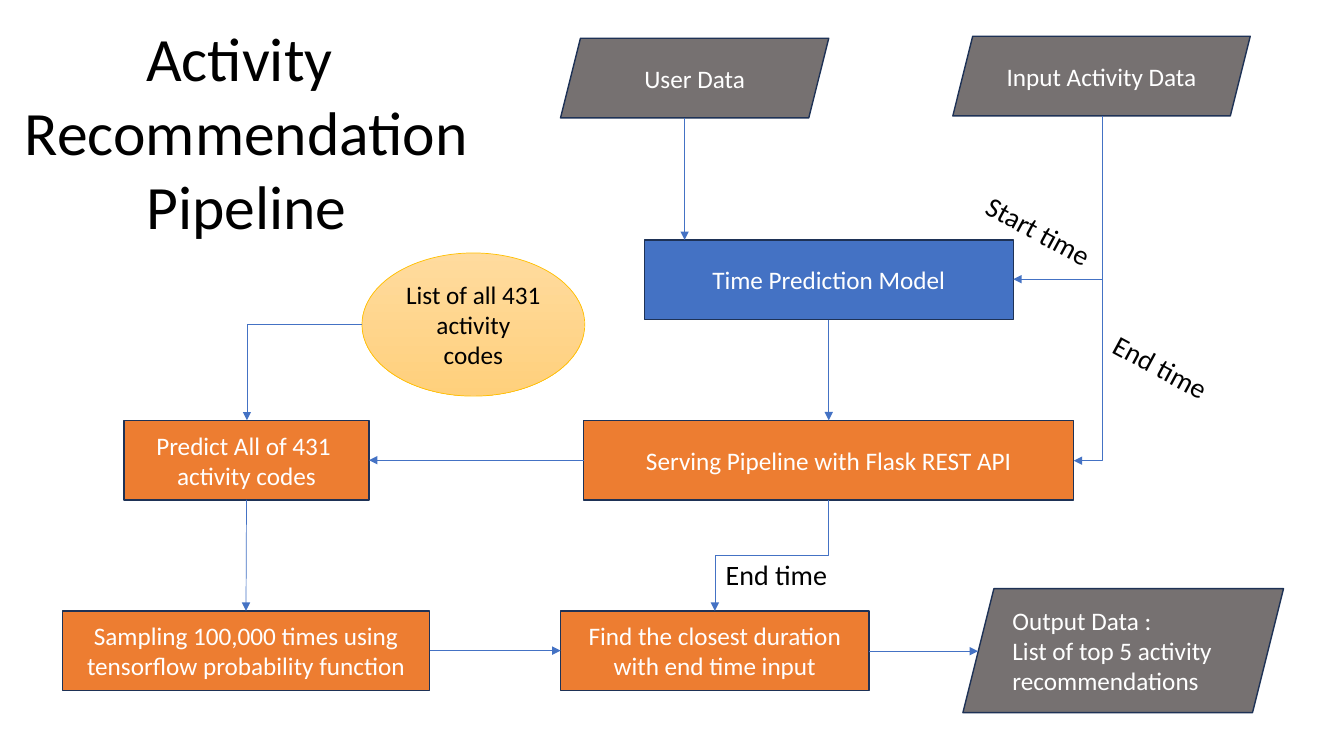
"""Build the activity recommendation pipeline slide."""
from lxml.etree import SubElement
from pptx import Presentation
from pptx.dml.color import RGBColor
from pptx.enum.shapes import MSO_CONNECTOR as Link, MSO_SHAPE as Shape
from pptx.enum.text import MSO_ANCHOR as Anchor, MSO_AUTO_SIZE as AutoSize, PP_ALIGN as Align
from pptx.oxml.ns import qn
from pptx.util import Inches, Pt

GRAY, BLUE, ORANGE = "767171", "4472C4", "ED7D31"
NAVY, GOLD, WHITE, BLACK = "1E3256", "FFC000", "FFFFFF", "000000"
PEACH = ("FFDB9E", "FFD07C")
STEP_HEIGHT = 0.79
TOP, LEFT, BOTTOM, RIGHT = range(4)
FONT = {"name": "Calibri", "bold": False}
LABEL_FRAME = {"word_wrap": False, "auto_size": AutoSize.SHAPE_TO_FIT_TEXT,
               "vertical_anchor": Anchor.TOP}
STEP_FRAME = {"word_wrap": True, "auto_size": AutoSize.NONE,
              "vertical_anchor": Anchor.MIDDLE}


def rgb(value):
    """Turn a hex string into a colour."""
    return RGBColor.from_string(value)


def assign(target, values):
    """Set each named value on the target."""
    for name, value in values.items():
        setattr(target, name, value)


def write(shape, text, size, color, frame_format, align=Align.CENTER):
    """Fill a shape with one formatted paragraph per line."""
    frame = shape.text_frame
    frame.text = text
    assign(frame, frame_format)
    for para in frame.paragraphs:
        para.alignment = align
        for span in para.runs:
            assign(span.font, FONT | {"size": Pt(size)})
            span.font.color.rgb = rgb(color)


def add_title(page, text, left, top, width, height):
    """Place the slide title in its placeholder."""
    title = page.shapes.title
    assign(title, {"left": Inches(left), "top": Inches(top),
                   "width": Inches(width), "height": Inches(height)})
    write(title, text, 44, BLACK, LABEL_FRAME)


def add_node(page, kind, text, left, top, width, height=STEP_HEIGHT,
             fill=ORANGE, color=WHITE, edge=NAVY, weight=1, align=Align.CENTER):
    """Draw one flowchart node with a plain or two-colour fill."""
    node = page.shapes.add_shape(kind, *map(Inches, (left, top, width, height)))
    node.shadow.inherit = False
    if isinstance(fill, str):
        node.fill.solid()
        node.fill.fore_color.rgb = rgb(fill)
    else:
        node.fill.gradient()
        node.fill.gradient_angle = 270
        for stop, shade in zip(node.fill.gradient_stops, fill):
            stop.color.rgb = rgb(shade)
    node.line.color.rgb = rgb(edge)
    node.line.width = Pt(weight)
    write(node, text, 18, color, STEP_FRAME, align)
    return node


def add_label(page, text, left, top, width, angle=0):
    """Place a label beside an arrow."""
    box = page.shapes.add_textbox(*map(Inches, (left, top, width, 0.44)))
    box.rotation = angle
    write(box, text, 20, BLACK, LABEL_FRAME)


def add_arrow(page, start, end, kind=Link.STRAIGHT):
    """Draw a thin arrow between two points."""
    arrow = page.shapes.add_connector(kind, *map(Inches, (*start, *end)))
    arrow.line.color.rgb = rgb(BLUE)
    arrow.line.width = Pt(0.5)
    SubElement(arrow.line._get_or_add_ln(), qn("a:tailEnd"), type="triangle")
    SubElement(arrow._element.spPr, qn("a:effectLst"))
    return arrow


def join(page, source, source_site, target, target_site):
    """Glue a straight arrow to the sides of two nodes."""
    arrow = add_arrow(page, (0, 0), (1, 1))
    arrow.begin_connect(source, source_site)
    arrow.end_connect(target, target_site)


def make_corner(arrow):
    """Give an elbow arrow a single corner."""
    geometry = arrow._element.spPr.find(qn("a:prstGeom"))
    geometry.set("prst", "bentConnector2")


def add_drop(page, start, end):
    """Draw an elbow arrow that first runs down and then left."""
    middle_x, middle_y = ((a + b) / 2 for a, b in zip(start, end))
    half_width, half_height = (start[0] - end[0]) / 2, (end[1] - start[1]) / 2
    arrow = add_arrow(page, (middle_x - half_height, middle_y - half_width),
                      (middle_x + half_height, middle_y + half_width), Link.ELBOW)
    arrow._element.spPr.find(qn("a:xfrm")).set("rot", "5400000")
    return arrow


def main():
    """Build and save the slide."""
    deck = Presentation()
    assign(deck, {"slide_width": Inches(13.33), "slide_height": Inches(7.5)})
    page = deck.slides.add_slide(deck.slide_layouts[5])
    add_title(page, "Activity \nRecommendation\nPipeline", 0.12, 0.15, 4.65, 2.32)

    slanted, box = Shape.PARALLELOGRAM, Shape.RECTANGLE
    add_node(page, slanted, "User Data", 5.56, 0.38, 2.66, fill=GRAY)
    add_node(page, slanted, "Input Activity Data", 9.45, 0.36, 2.95, fill=GRAY)
    add_node(page, slanted,
             "Output Data :\nList of top 5 activity \nrecommendations",
             9.55, 5.84, 3.18, 1.23, fill=GRAY, align=Align.JUSTIFY)
    add_node(page, Shape.OVAL, "List of all 431 activity codes", 3.59, 2.51,
             2.21, 1.42, fill=PEACH, color=BLACK, edge=GOLD, weight=0.5)
    model = add_node(page, box, "Time Prediction Model", 6.39, 2.38, 3.66, fill=BLUE)
    serving = add_node(page, box, "Serving Pipeline with Flask REST API",
                       5.79, 4.17, 4.86)
    predict = add_node(page, box, "Predict All of 431 \nactivity codes",
                       1.23, 4.17, 2.43)
    sampling = add_node(
        page, box, "Sampling 100,000 times using tensorflow probability function",
        0.62, 6.06, 3.64)
    closest = add_node(page, box, "Find the closest duration with end time input",
                       5.56, 6.06, 3.06)

    join(page, model, BOTTOM, serving, TOP)
    join(page, serving, LEFT, predict, RIGHT)
    join(page, predict, BOTTOM, sampling, TOP)
    join(page, sampling, RIGHT, closest, LEFT)
    add_arrow(page, (6.79, 1.17), (6.79, 2.38))
    add_arrow(page, (8.62, 6.46), (9.7, 6.46))
    make_corner(add_arrow(page, (3.59, 3.22), (2.45, 4.17), Link.ELBOW))
    for end in ((10.05, 2.77), (10.65, 4.57)):
        make_corner(add_drop(page, (10.93, 1.15), end))
    add_drop(page, (8.22, 4.96), (7.09, 6.06))

    add_label(page, "Start time", 9.63, 2.07, 1.34, 28.4)
    add_label(page, "End time", 10.9, 3.42, 1.22, 28.4)
    add_label(page, "End time", 7.09, 5.48, 1.22)
    deck.save("out.pptx")


main()
